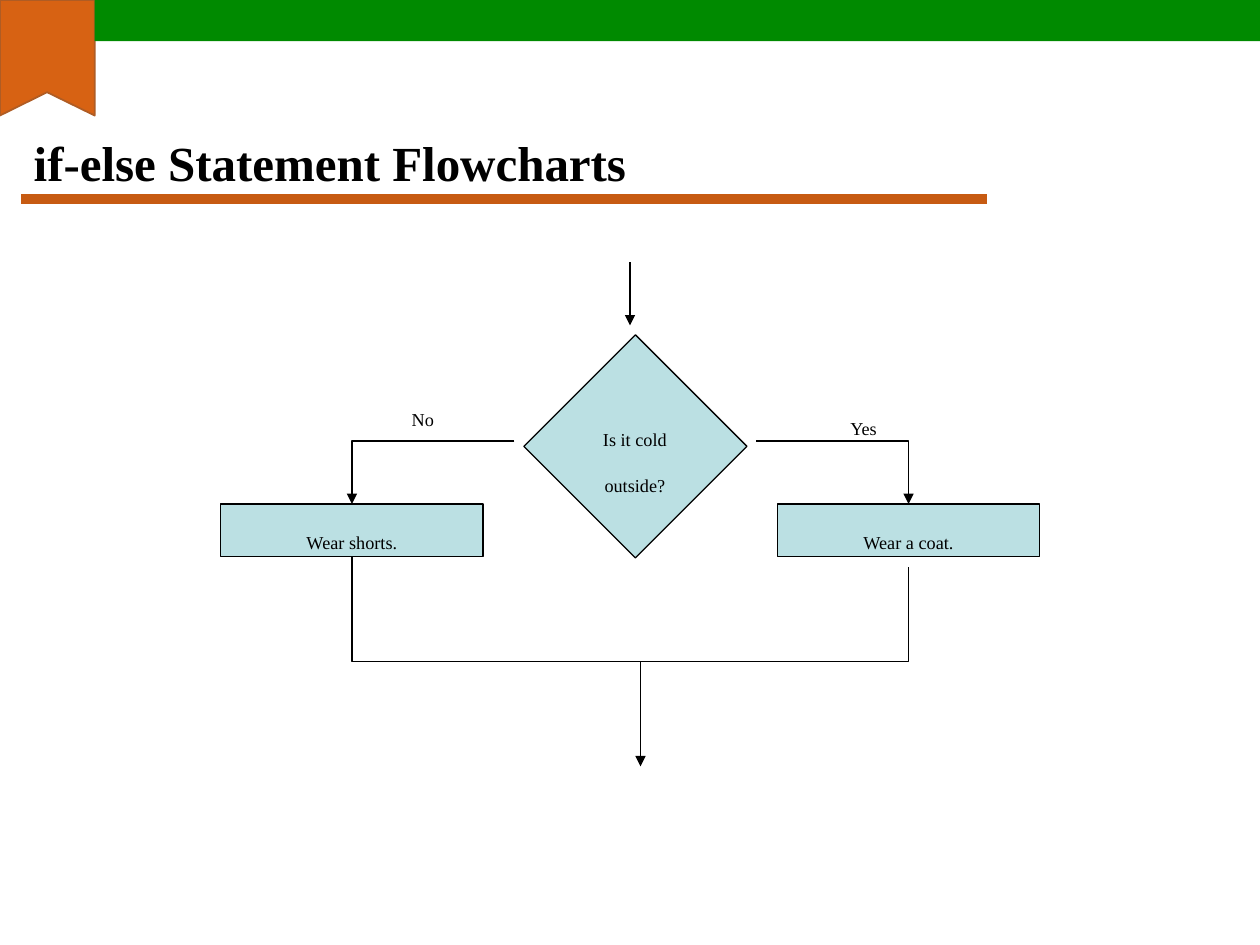
from lxml import etree
from pptx import Presentation
from pptx.dml import color
from pptx.enum import shapes, text
from pptx.oxml import ns
from pptx.util import Cm, Pt

FONT = "Times New Roman"
BLACK, GREEN, ORANGE, RUST, BROWN, TEAL = (
    "000000", "008A00", "D76213", "C75B12", "AF5C24", "BBE0E3")

TITLE = "if-else Statement Flowcharts"
RIBBON = [(0, 0), (1.91, 0), (1.91, 2.33), (0.95, 1.86), (0, 2.33)]
DIAMOND = (11.22, 7.41, 3.18, 3.18)
STEPS = [("Wear shorts.", 4.45), ("Wear a coat.", 15.67)]
STEP_TOP, STEP_WIDTH, STEP_HEIGHT = 10.16, 5.29, 1.06
LABELS = [
    (["Is it cold", "outside?"], (11.43, 8.04, 2.74, 1.78), "CENTER"),
    (["Yes"], (16.66, 7.82, 1.5, 1.02), "CENTER"),
    (["No"], (8.05, 7.62, 1.3, 1.02), "LEFT"),
]
NO_X, YES_X = [left + STEP_WIDTH / 2 for _, left in STEPS]
BRANCH_Y, MERGE_X, MERGE_Y = 8.89, 12.91, 13.34
EXIT_TOP, EXIT_END = STEP_TOP + STEP_HEIGHT, 15.45
FLOWS = [
    ((12.7, 5.29), (12.7, 6.56), "line", True),
    ((15.24, BRANCH_Y), (YES_X, STEP_TOP), "bentConnector2", True),
    ((10.37, BRANCH_Y), (NO_X, STEP_TOP), "bentConnector2", True),
    ((NO_X, EXIT_TOP), (MERGE_X, EXIT_END), "bentConnector3", True),
    ((MERGE_X, MERGE_Y), (YES_X, 11.43), "bentConnector2", False),
]


def rgb(value):
    return color.RGBColor.from_string(value)


def paint(shape, fill, line=None, width=0.75):
    shape.shadow.inherit = False
    shape.fill.solid()
    shape.fill.fore_color.rgb = rgb(fill)
    if line:
        shape.line.color.rgb = rgb(line)
        shape.line.width = Pt(width)
    else:
        shape.line.fill.background()
    return shape


def add_rectangle(page, place, fill, line=None):
    kind = shapes.MSO_SHAPE.RECTANGLE
    return paint(page.shapes.add_shape(kind, *map(Cm, place)), fill, line)


def write(shape, lines, size, align="LEFT", anchor="MIDDLE", bold=False, lowered=False):
    frame = shape.text_frame
    frame.word_wrap = False
    frame.vertical_anchor = text.MSO_ANCHOR[anchor]
    frame.text = "\n".join(lines)
    for para in frame.paragraphs:
        para.alignment = text.PP_ALIGN[align]
        para.font.name = FONT
        para.font.size = Pt(size)
        para.font.bold = bold
        para.font.color.rgb = rgb(BLACK)
        if lowered:
            for span in para.runs:
                span.font._element.set("baseline", "-33000")


def add_line(page, start, end, preset, arrow, line=BLACK, width=0.75):
    (x1, y1), (x2, y2) = start, end
    vertical = preset == "bentConnector3"
    if vertical:
        mid_x, mid_y = (x1 + x2) / 2, (y1 + y2) / 2
        half_x, half_y = (x2 - x1) / 2, (y2 - y1) / 2
        x1, y1 = mid_x + half_y, mid_y - half_x
        x2, y2 = mid_x - half_y, mid_y + half_x
    kind = shapes.MSO_CONNECTOR.STRAIGHT if preset == "line" else shapes.MSO_CONNECTOR.ELBOW
    link = page.shapes.add_connector(kind, *map(Cm, (x1, y1, x2, y2)))
    link.line.color.rgb = rgb(line)
    link.line.width = Pt(width)
    props = link._element.spPr
    props.find(ns.qn("a:prstGeom")).set("prst", preset)
    if vertical:
        props.find(ns.qn("a:xfrm")).set("rot", "16200000")
    if arrow:
        etree.SubElement(props.find(ns.qn("a:ln")), ns.qn("a:tailEnd"), type="triangle")
    etree.SubElement(props, ns.qn("a:effectLst"))


def add_frame(page):
    add_line(page, (0.43, 4.01), (19.89, 4.01), "line", False, RUST, 6)
    points = [(Cm(x), Cm(y)) for x, y in RIBBON]
    builder = page.shapes.build_freeform(*points[0])
    builder.add_line_segments(points[1:])
    paint(builder.convert_to_shape(), ORANGE, BROWN, 1)
    add_rectangle(page, (1.91, 0, 23.49, 0.83), GREEN)
    title = page.shapes.add_textbox(*map(Cm, (0.43, 2.62, 22.86, 1.27)))
    write(title, [TITLE], 28, bold=True)
    title.text_frame.word_wrap = True


def add_flowchart(page):
    add_rectangle(page, DIAMOND, TEAL, BLACK).rotation = 45
    for caption, left in STEPS:
        step = add_rectangle(page, (left, STEP_TOP, STEP_WIDTH, STEP_HEIGHT), TEAL, BLACK)
        write(step, [caption], 18, "CENTER", lowered=True)
    for flow in FLOWS:
        add_line(page, *flow)
    for lines, place, align in LABELS:
        box = page.shapes.add_textbox(*map(Cm, place))
        write(box, lines, 18, align, "TOP", lowered=True)


def main():
    deck = Presentation()
    deck.slide_width, deck.slide_height = Cm(25.4), Cm(19.05)
    page = deck.slides.add_slide(deck.slide_layouts[6])
    add_frame(page)
    add_flowchart(page)
    deck.save("out.pptx")


if __name__ == "__main__":
    main()
